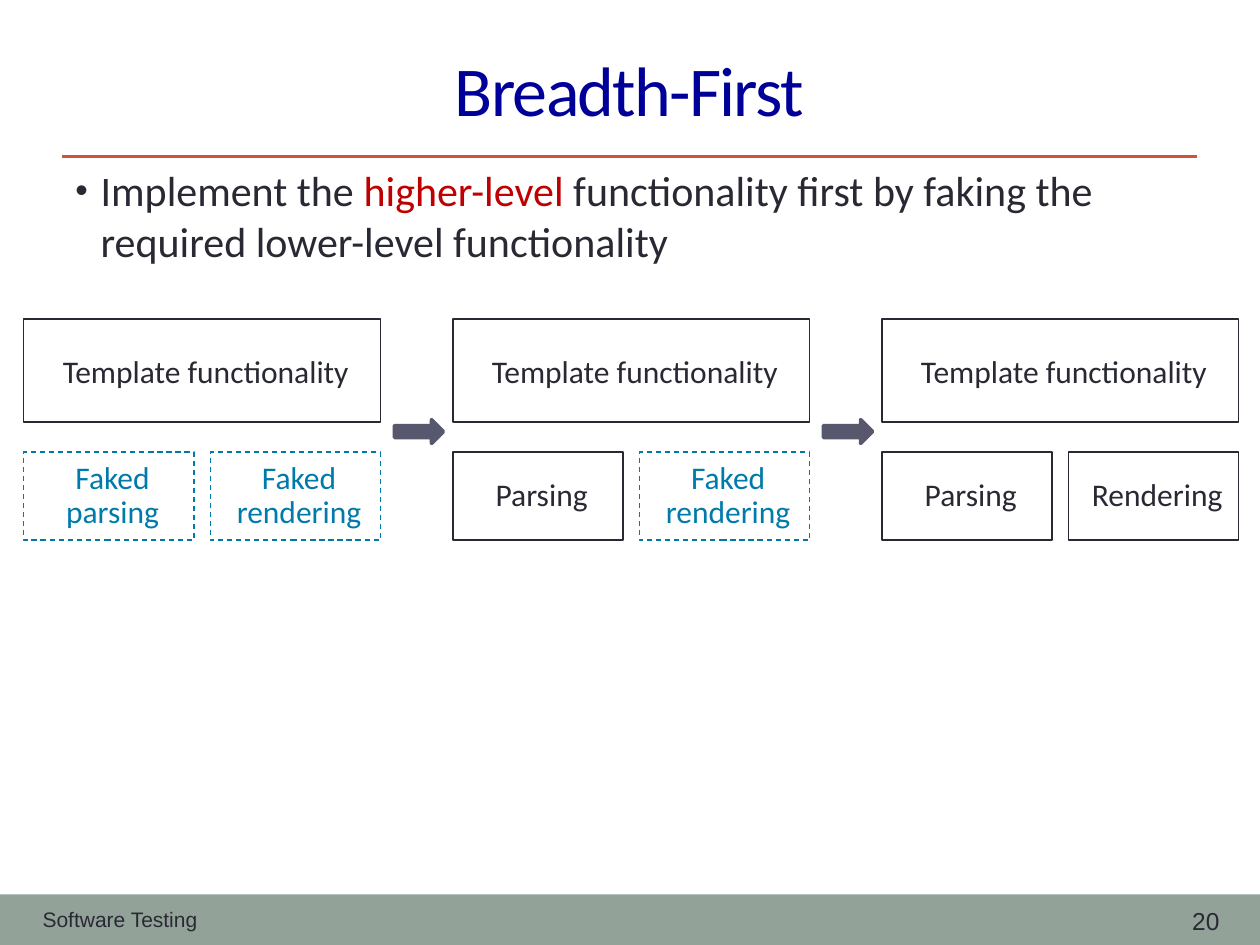
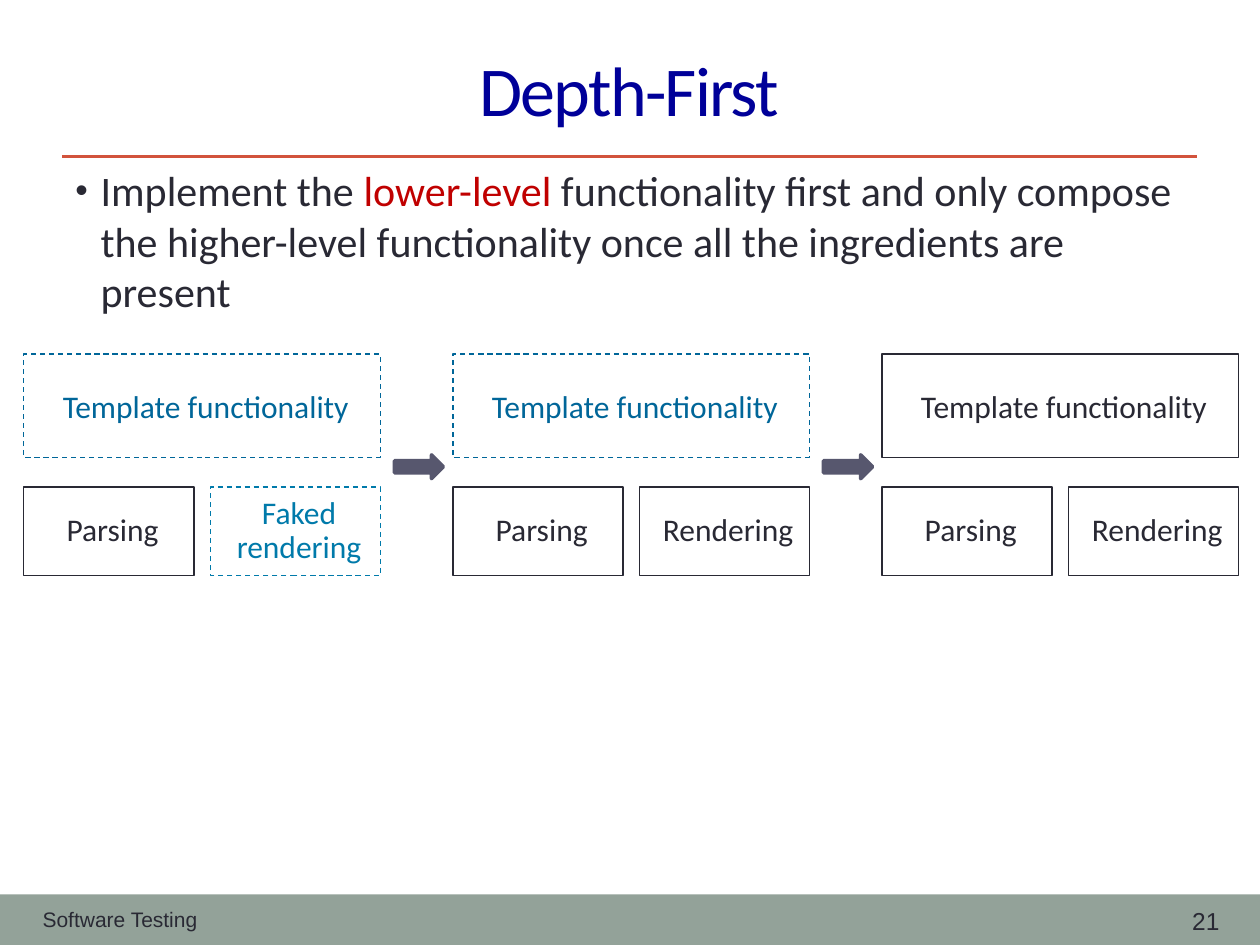
import pptx
import pptx.dml.color
import pptx.enum.dml
import pptx.enum.shapes
import pptx.enum.text
import pptx.oxml
import pptx.oxml.ns
import pptx.util

Cm = pptx.util.Cm
Pt = pptx.util.Pt
RGBColor = pptx.dml.color.RGBColor
ALIGN = pptx.enum.text.PP_ALIGN
MIDDLE = pptx.enum.text.MSO_ANCHOR.MIDDLE
SHAPE = pptx.enum.shapes.MSO_SHAPE

INK = RGBColor(0x29, 0x29, 0x34)
TITLE_BLUE = RGBColor(0x00, 0x00, 0x99)
EMPHASIS_RED = RGBColor(0xC0, 0x00, 0x00)
RULE_RED = RGBColor(0xD2, 0x53, 0x3C)
BAND_GREEN = RGBColor(0x93, 0xA2, 0x99)
ARROW_GREY = RGBColor(0x57, 0x57, 0x6E)
PENDING_TEMPLATE = RGBColor(0x00, 0x66, 0x99)
FAKED_PART = RGBColor(0x00, 0x7A, 0xAA)

COURSE = "Software Testing"
TEMPLATE = "Template functionality"
FAKED = "Faked\n"

# Each stage: (is the template real, left part, right part)
SLIDES = [
    {
        "title": "Breadth-First",
        "number": 20,
        "statement": ("Implement the ", "higher-level",
                      " functionality first by faking the required "
                      "lower-level functionality"),
        "diagram_top": 6.43,
        "stages": [
            (True, FAKED + "parsing", FAKED + "rendering"),
            (True, "Parsing", FAKED + "rendering"),
            (True, "Parsing", "Rendering"),
        ],
    },
    {
        "title": "Depth-First",
        "number": 21,
        "statement": ("Implement the ", "lower-level",
                      " functionality first and only compose the higher-level "
                      "functionality once all the ingredients are present"),
        "diagram_top": 7.14,
        "stages": [
            (False, "Parsing", FAKED + "rendering"),
            (False, "Parsing", "Rendering"),
            (True, "Parsing", "Rendering"),
        ],
    },
]

# Diagram measures in centimetres
STAGE_LEFT, STAGE_STEP = 0.48, 8.65
TEMPLATE_SIZE = (7.19, 2.08)
PART_SIZE = (3.43, 1.78)
PART_STEP = 3.76
PART_DROP = 2.68
ARROW_SIZE = (0.99, 0.48)
ARROW_SHIFT, ARROW_DROP = 7.47, 2.03

TITLE_FONT = {"name": "Calibri", "size": Pt(40), "color": TITLE_BLUE}
STATEMENT_FONT = {"name": "Calibri", "size": Pt(24), "color": INK}
BOX_FONT = {"name": "Calibri", "size": Pt(18)}
COURSE_FONT = {"name": "Arial", "size": Pt(12), "color": INK}
NUMBER_FONT = {"name": "Arial", "size": Pt(14), "color": INK}


def style_font(font, values):
    for attribute, value in values.items():
        if attribute == "color":
            font.color.rgb = value
        else:
            setattr(font, attribute, value)


def add_xml(parent, *fragments):
    for fragment in fragments:
        tag, rest = fragment.split(" ", 1)
        parent.append(pptx.oxml.parse_xml(
            f"<a:{tag} {pptx.oxml.ns.nsdecls('a')} {rest}"))


def add_block(slide, kind, left, top, width, height, fill=None):
    block = slide.shapes.add_shape(kind, Cm(left), Cm(top), Cm(width), Cm(height))
    block.shadow.inherit = False
    if fill is None:
        block.fill.background()
    else:
        block.fill.solid()
        block.fill.fore_color.rgb = fill
    block.line.fill.background()
    return block


def add_outline(block, color, width):
    block.line.color.rgb = color
    block.line.width = Pt(width)


def add_box(slide, text, left, top, size, real, pending_color, spacing=None):
    """Add a labelled box, dashed and coloured while its content is not real."""
    color = INK if real else pending_color
    box = add_block(slide, SHAPE.RECTANGLE, left, top, *size)
    add_outline(box, color, 0.75)
    if not real:
        box.line.dash_style = pptx.enum.dml.MSO_LINE.DASH
    label = box.text_frame
    label.word_wrap = True
    label.vertical_anchor = MIDDLE
    label.text = text
    for paragraph in label.paragraphs:
        paragraph.alignment = ALIGN.CENTER
        paragraph.line_spacing = spacing
        paragraph._p.get_or_add_pPr().set("marL", str(Cm(0.15)))
        style_font(paragraph.font, BOX_FONT | {"color": color})
        for run in paragraph.runs:
            style_font(run.font, BOX_FONT | {"color": color})


def add_caption(slide, text, left, width, height, alignment, font):
    caption = slide.shapes.add_textbox(Cm(left), Cm(18.08), Cm(width), Cm(height))
    frame = caption.text_frame
    frame.word_wrap = True
    frame.vertical_anchor = MIDDLE
    paragraph = frame.paragraphs[0]
    paragraph.alignment = alignment
    run = paragraph.add_run()
    run.text = text
    style_font(run.font, font)


def add_frame(slide, number):
    """Add the footer band, title rule, course name and slide number."""
    add_block(slide, SHAPE.RECTANGLE, 0, 18.03, 25.4, 1.02, BAND_GREEN)
    rule = slide.shapes.add_connector(
        pptx.enum.shapes.MSO_CONNECTOR.STRAIGHT,
        Cm(1.25), Cm(3.16), Cm(24.13), Cm(3.16))
    add_outline(rule, RULE_RED, 1.5)
    add_xml(rule._element.spPr, "effectLst />")
    add_caption(slide, str(number), 23.37, 1.88, 0.97, ALIGN.CENTER, NUMBER_FONT)
    add_caption(slide, COURSE, 0.61, 8.05, 0.91, ALIGN.LEFT, COURSE_FONT)


def set_title(slide, text):
    title = slide.shapes.title
    place = {"left": 0.71, "top": 0.41, "width": 23.95, "height": 2.74}
    for attribute, length in place.items():
        setattr(title, attribute, Cm(length))
    title.text_frame.vertical_anchor = MIDDLE
    paragraph = title.text_frame.paragraphs[0]
    paragraph.alignment = ALIGN.CENTER
    run = paragraph.add_run()
    run.text = text
    style_font(run.font, TITLE_FONT)
    run._r.get_or_add_rPr().set("spc", "-100")


def add_statement(slide, pieces):
    """Add the bulleted sentence; its second piece is emphasised."""
    body = slide.shapes.add_textbox(Cm(1.27), Cm(3.2), Cm(22.86), Cm(14.1))
    body.text_frame.word_wrap = True
    paragraph = body.text_frame.paragraphs[0]
    paragraph.space_before = Pt(4.8)
    properties = paragraph._p.get_or_add_pPr()
    properties.set("marL", str(Cm(0.51)))
    properties.set("indent", str(Cm(-0.51)))
    add_xml(properties,
            f'buClr ><a:srgbClr val="{INK}"/></a:buClr>',
            'buSzPct val="85000"/>',
            'buFont typeface="Arial"/>',
            'buChar char="•"/>')
    for piece, color in zip(pieces, (INK, EMPHASIS_RED, INK)):
        run = paragraph.add_run()
        run.text = piece
        style_font(run.font, STATEMENT_FONT | {"color": color})


def add_diagram(slide, stages, top):
    for index, (template_real, *parts) in enumerate(stages):
        left = STAGE_LEFT + index * STAGE_STEP
        add_box(slide, TEMPLATE, left, top, TEMPLATE_SIZE,
                template_real, PENDING_TEMPLATE)
        for column, part in enumerate(parts):
            add_box(slide, part, left + column * PART_STEP, top + PART_DROP,
                    PART_SIZE, not part.startswith(FAKED), FAKED_PART, 0.9)
        if index < len(stages) - 1:
            arrow = add_block(slide, SHAPE.RIGHT_ARROW, left + ARROW_SHIFT,
                              top + ARROW_DROP, *ARROW_SIZE, ARROW_GREY)
            add_outline(arrow, ARROW_GREY, 2.08)


def main():
    deck = pptx.Presentation()
    deck.slide_width, deck.slide_height = Cm(25.4), Cm(19.05)
    title_only = deck.slide_layouts[5]
    for content in SLIDES:
        slide = deck.slides.add_slide(title_only)
        add_frame(slide, content["number"])
        set_title(slide, content["title"])
        add_statement(slide, content["statement"])
        add_diagram(slide, content["stages"], content["diagram_top"])
    deck.save("out.pptx")


if __name__ == "__main__":
    main()
